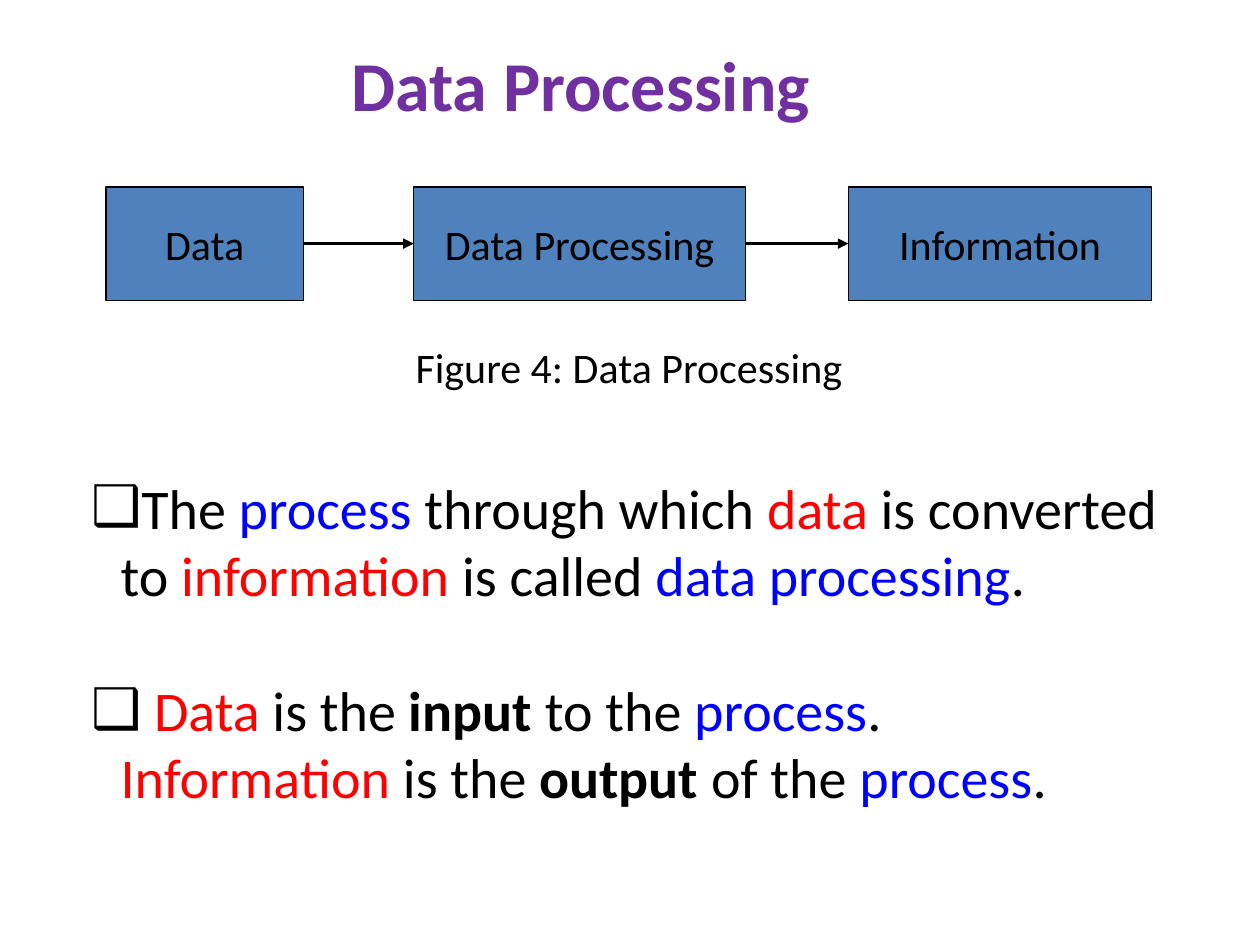
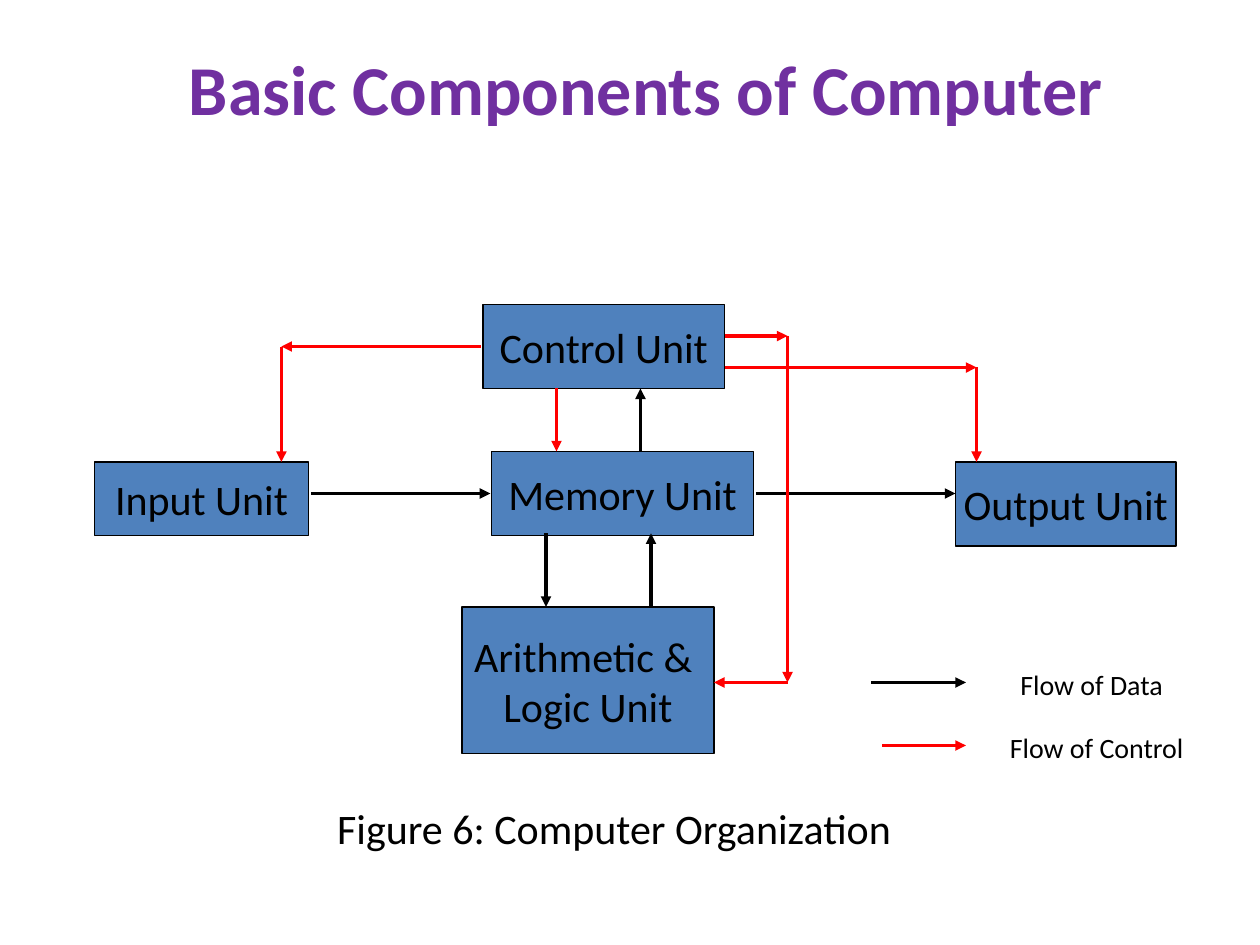
from lxml import etree
from pptx import Presentation
from pptx.dml.color import RGBColor
from pptx.enum.shapes import MSO_CONNECTOR, MSO_SHAPE
from pptx.enum.text import MSO_ANCHOR, PP_ALIGN
from pptx.oxml.ns import qn
from pptx.util import Inches, Pt

RECT, STRAIGHT = MSO_SHAPE.RECTANGLE, MSO_CONNECTOR.STRAIGHT
TOP, MIDDLE = MSO_ANCHOR.TOP, MSO_ANCHOR.MIDDLE
LEFT, CENTER = PP_ALIGN.LEFT, PP_ALIGN.CENTER

COLORS = {
    "title": "7030A0",
    "text": "000000",
    "node": "4F81BD",
    "data": "000000",
    "control": "FF0000",
    "process_word": "0000FF",
    "data_word": "FF0000",
}
FONT = "Calibri"
COLS, ROWS = 120, 90

prs = Presentation()
prs.slide_width, prs.slide_height = Inches(10), Inches(7.5)


# Shared helpers: all lengths are grid columns and rows
def rgb(name):
    return RGBColor.from_string(COLORS[name])


def x(cols):
    return round(prs.slide_width * cols / COLS)


def y(rows):
    return round(prs.slide_height * rows / ROWS)


def grid(col, row, w, h):
    return x(col), y(row), x(w), y(h)


def style(r, size, color="text", bold=False):
    r.font.name, r.font.size, r.font.bold = FONT, Pt(size), bold
    r.font.color.rgb = rgb(color)


def write(tf, text, size, color="text", bold=False, align=CENTER, anchor=TOP):
    tf.text = text
    tf.vertical_anchor = anchor
    for p in tf.paragraphs:
        p.alignment = align
        for r in p.runs:
            style(r, size, color, bold)


def add_text(s, box, text, size, **look):
    tf = s.shapes.add_textbox(*grid(*box)).text_frame
    tf.word_wrap = True
    write(tf, text, size, **look)


def add_title(s, box, text):
    add_text(s, box, text, 40, color="title", bold=True, anchor=MIDDLE)


def add_caption(s, box, text):
    add_text(s, box, text, 24)


def add_node(s, box, text):
    sp = s.shapes.add_shape(RECT, *grid(*box))
    sp.shadow.inherit = False
    sp.fill.solid()
    sp.fill.fore_color.rgb = rgb("node")
    sp.line.color.rgb = rgb("text")
    sp.line.width = Pt(0.75)
    sp.text_frame.word_wrap = False
    write(sp.text_frame, text, 24, anchor=MIDDLE)


def add_route(s, origin, points, color):
    """Draw one arrow per leg of the route."""
    points = [(origin[0] + col, origin[1] + row) for col, row in points]
    for (c1, r1), (c2, r2) in zip(points, points[1:]):
        line = s.shapes.add_connector(STRAIGHT, x(c1), y(r1), x(c2), y(r2))
        line.line.color.rgb = rgb(color)
        line.line.width = Pt(2)
        ln = line.line._get_or_add_ln()
        etree.SubElement(ln, qn("a:tailEnd"), type="triangle")
        etree.SubElement(line._element.spPr, qn("a:effectLst"))


# Slide 1: process flow and definitions
def process_flow(s, box):
    col, row, _, h = box
    steps = [("Data", 0, 18.8), ("Data Processing", 29.3, 31.6),
             ("Information", 70.7, 28.9)]
    for text, left, w in steps:
        add_node(s, (col + left, row, w, h), text)
    for (_, left, w), (_, next_left, _) in zip(steps, steps[1:]):
        add_route(s, (col, row + h / 2), [(left + w, 0), (next_left, 0)], "data")


def definitions(s, box):
    plain, process, data = ("text", False), ("process_word", False), ("data_word", False)
    strong = ("text", True)
    bullets = [
        [("The ", plain), ("process", process), (" through which ", plain),
         ("data", data), (" is converted to ", plain), ("information", data),
         (" is called ", plain), ("data processing", process), (".", plain)],
        [(" ", plain), ("Data", data), (" is the ", plain), ("input", strong),
         (" to the ", plain), ("process", process), (".", plain), ("\n", plain),
         ("Information", data), (" is the ", plain), ("output", strong),
         (" of the ", plain), ("process", process), (".", plain)],
    ]
    tf = s.shapes.add_textbox(*grid(*box)).text_frame
    tf.word_wrap, tf.vertical_anchor = True, MIDDLE
    for i, parts in enumerate(bullets):
        p = tf.add_paragraph() if i else tf.paragraphs[0]
        p.alignment = LEFT
        p.space_before = Pt(39 * i)
        pPr = p._p.get_or_add_pPr()
        indent = x(2.8)
        pPr.set("marL", str(indent))
        pPr.set("indent", str(-indent))
        bu_clr = etree.SubElement(pPr, qn("a:buClr"))
        etree.SubElement(bu_clr, qn("a:srgbClr"), val=COLORS["text"])
        etree.SubElement(pPr, qn("a:buFont"), typeface=FONT)
        etree.SubElement(pPr, qn("a:buChar"), char="❑")
        for text, (color, bold) in parts:
            if text == "\n":
                p.add_line_break()
                continue
            r = p.add_run()
            r.text = text
            style(r, 32, color, bold)


# Slide 2: computer organization and legend
def computer_diagram(s, box):
    col, row = box[:2]
    nodes = [
        ("Input Unit", 0, 15, 20.4, 7),
        ("Control Unit", 37, 0, 23, 8),
        ("Memory Unit", 37.8, 14, 25, 8),
        ("Arithmetic & \nLogic Unit", 35, 28.8, 24, 14),
        ("Output Unit", 82, 15, 21, 8),
    ]
    routes = {
        "data": [
            [(20.6, 18), (37.7, 18)],
            [(63, 18), (82, 18)],
            [(43, 21.8), (43, 28.8)],
            [(53, 28.8), (53, 21.8)],
            [(52, 14), (52, 8)],
        ],
        "control": [
            [(60, 6), (84, 6), (84, 15)],
            [(44, 8), (44, 14)],
            [(36.8, 4), (17.8, 4), (17.8, 15)],
            [(60, 3), (66, 3), (66, 36), (59, 36)],
        ],
    }
    for text, left, top, w, h in nodes:
        add_node(s, (col + left, row + top, w, h), text)
    for color, paths in routes.items():
        for points in paths:
            add_route(s, (col, row), points, color)


def legend(s, box):
    col, row, w, h = box
    entries = [("Flow of Data", "data", 0, 13), ("Flow of Control", "control", 1, 12)]
    for i, (text, color, start, label) in enumerate(entries):
        top = row + i * h / 2
        add_route(s, (col, top + 2), [(start, 0), (9, 0)], color)
        add_text(s, (col + label, top, w - label, 4.4), text, 16, align=LEFT)


def data_processing_slide():
    s = prs.slides.add_slide(prs.slide_layouts[6])
    add_title(s, (10.3, 2.8, 90, 10.3), "Data Processing")
    process_flow(s, (10.1, 17.8, 99.6, 10.8))
    add_caption(s, (10.3, 31.9, 99.2, 6), "Figure 4: Data Processing")
    definitions(s, (7.5, 42.2, 105, 37.8))


def components_slide():
    s = prs.slides.add_slide(prs.slide_layouts[6])
    add_title(s, (7.5, 2.8, 108, 11), "Basic Components of Computer")
    computer_diagram(s, (9, 29, 103, 43))
    legend(s, (83, 63, 34, 12))
    add_caption(s, (21.2, 75.8, 74.6, 6), "Figure 6: Computer Organization")


def main():
    data_processing_slide()
    components_slide()
    prs.save("out.pptx")


if __name__ == "__main__":
    main()
